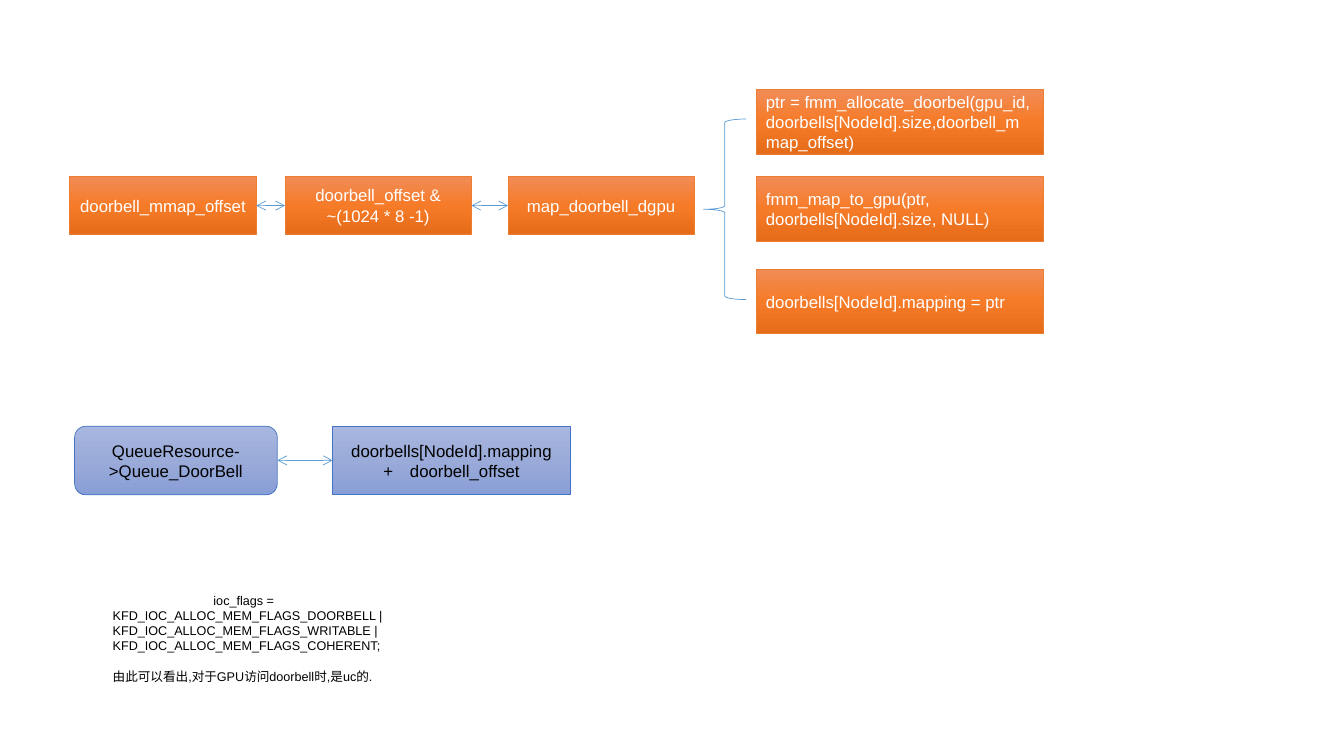
from copy import deepcopy

from lxml import etree
from pptx import Presentation
from pptx.dml.color import RGBColor
from pptx.enum.shapes import MSO_CONNECTOR, MSO_SHAPE
from pptx.enum.text import MSO_ANCHOR, PP_ALIGN
from pptx.oxml.ns import qn
from pptx.util import Cm, Inches, Pt

RECTANGLE = MSO_SHAPE.RECTANGLE
ROUNDED = MSO_SHAPE.FLOWCHART_ALTERNATE_PROCESS
PROCESS = MSO_SHAPE.FLOWCHART_PROCESS
BRACE = MSO_SHAPE.LEFT_BRACE
STRAIGHT = MSO_CONNECTOR.STRAIGHT
MIDDLE = MSO_ANCHOR.MIDDLE
LEFT, CENTER = PP_ALIGN.LEFT, PP_ALIGN.CENTER

WHITE = RGBColor(0xFF, 0xFF, 0xFF)
BLACK = RGBColor(0x00, 0x00, 0x00)
LINE_BLUE = RGBColor(0x5B, 0x9B, 0xD5)
ORANGE_EDGE = RGBColor(0xED, 0x7D, 0x31)
ORANGE_STOPS = (RGBColor(0xF1, 0x8C, 0x57), RGBColor(0xF6, 0x7B, 0x28),
                RGBColor(0xE5, 0x6C, 0x19))
BLUE_EDGE = RGBColor(0x44, 0x72, 0xC4)
BLUE_STOPS = (RGBColor(0xA8, 0xB7, 0xDF), RGBColor(0x9A, 0xAB, 0xD9),
              RGBColor(0x88, 0x9E, 0xD7))
ORANGE = (ORANGE_STOPS, ORANGE_EDGE, WHITE)
BLUE = (BLUE_STOPS, BLUE_EDGE, BLACK)
FONT = "Arial"

deck = Presentation()
deck.slide_width, deck.slide_height = Inches(13.333), Inches(7.5)
page = deck.slides.add_slide(deck.slide_layouts[6])


def add_box(kind, left, top, width, height, text, style, align):
    """Add a gradient box with text; lengths are in centimetres."""
    stops, edge, ink = style
    box = page.shapes.add_shape(kind, Cm(left), Cm(top), Cm(width), Cm(height))
    box.shadow.inherit = False
    box.fill.gradient()
    box.fill.gradient_angle = 270
    stop_list = box._element.spPr.find(qn("a:gradFill")).find(qn("a:gsLst"))
    stop_list.append(deepcopy(stop_list[0]))
    for number, stop in enumerate(box.fill.gradient_stops):
        stop.position = number / 2
        stop.color.rgb = stops[number]
    box.line.color.rgb = edge
    box.line.width = Pt(0.5)
    frame = box.text_frame
    frame.word_wrap = True
    frame.vertical_anchor = MIDDLE
    para = frame.paragraphs[0]
    para.text = text
    para.alignment = align
    para.font.name, para.font.size = FONT, Pt(12)
    para.font.color.rgb = ink


def add_double_arrow(start, end, height):
    """Add a horizontal line with an open arrowhead at both ends."""
    arrow = page.shapes.add_connector(
        STRAIGHT, Cm(start), Cm(height), Cm(end), Cm(height))
    arrow.line.color.rgb = LINE_BLUE
    arrow.line.width = Pt(0.5)
    outline = arrow.line._get_or_add_ln()
    for tag in ("a:headEnd", "a:tailEnd"):
        etree.SubElement(outline, qn(tag), type="arrow")
    etree.SubElement(arrow._element.spPr, qn("a:effectLst"))


# Mapping steps
STEP_WIDTH, STEP_TOP = 4.7, 4.45
steps = [(1.76, "doorbell_mmap_offset"),
         (7.18, "doorbell_offset & ~(1024 * 8 -1)"),
         (12.8, "map_doorbell_dgpu")]
for left, text in steps:
    add_box(RECTANGLE, left, STEP_TOP, STEP_WIDTH, 1.45, text, ORANGE, CENTER)
for (left, _), (next_left, _) in zip(steps, steps[1:]):
    add_double_arrow(left + STEP_WIDTH, next_left, 5.18)

# Calls inside map_doorbell_dgpu
calls = [
    (2.25, "ptr = fmm_allocate_doorbel(gpu_id, "
           "doorbells[NodeId].size,doorbell_mmap_offset)"),
    (STEP_TOP, "fmm_map_to_gpu(ptr, doorbells[NodeId].size, NULL)"),
    (6.78, "doorbells[NodeId].mapping = ptr"),
]
for top, text in calls:
    add_box(RECTANGLE, 19.05, top, 7.25, 1.63, text, ORANGE, LEFT)

brace = page.shapes.add_shape(BRACE, Cm(17.73), Cm(3), Cm(1.07), Cm(4.55))
brace.shadow.inherit = False
brace.fill.background()
brace.line.color.rgb = LINE_BLUE
brace.line.width = Pt(0.5)

# Queue doorbell address
add_box(ROUNDED, 1.88, 10.74, 5.11, 1.73,
        "QueueResource->Queue_DoorBell", BLUE, CENTER)
add_box(PROCESS, 8.38, 10.74, 6, 1.73,
        "doorbells[NodeId].mapping +\u3000doorbell_offset", BLUE, CENTER)
add_double_arrow(6.99, 8.38, 11.6)

# Allocation flags and conclusion
note = page.shapes.add_textbox(Cm(2.59), Cm(14.81), Cm(7.67), Cm(2.57))
note.text_frame.word_wrap = True
note.text_frame.text = "\n".join([
    "ioc_flags = KFD_IOC_ALLOC_MEM_FLAGS_DOORBELL |",
    "KFD_IOC_ALLOC_MEM_FLAGS_WRITABLE |",
    "KFD_IOC_ALLOC_MEM_FLAGS_COHERENT;",
    "由此可以看出,对于GPU访问doorbell时,是uc的.",
])
paras = note.text_frame.paragraphs
for para in paras:
    para.font.name, para.font.size = FONT, Pt(9)
    para.font.color.rgb = BLACK
paras[0]._p.get_or_add_pPr().set("indent", str(Cm(2.54)))
paras[-1].space_before = Pt(11)

deck.save("out.pptx")
